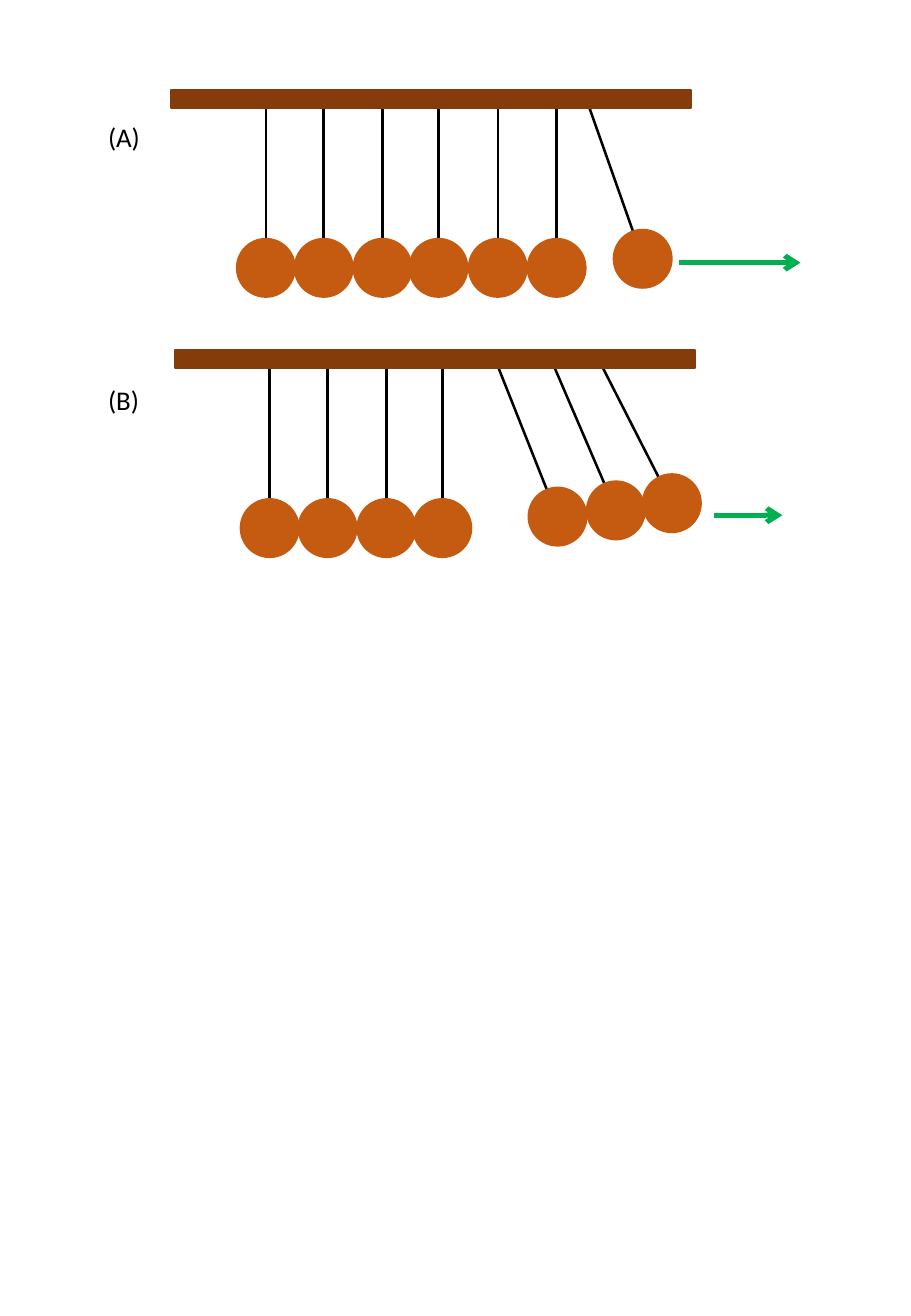
from math import hypot

from lxml.etree import SubElement
from pptx import Presentation
from pptx.dml.color import RGBColor
from pptx.enum.shapes import MSO_CONNECTOR as Connector, MSO_SHAPE as Shape
from pptx.oxml.ns import qn
from pptx.util import Cm, Pt

COLOURS = {"string": "000000", "ball": "C55A11", "beam": "843C0B",
           "arrow": "00B050", "text": "000000"}
FONT = "Calibri"
BEAM_WIDTH, BEAM_HEIGHT = 10.87, 0.38
BALL_SIZE = 1.22
STRING_GAP = 0.51  # from the end of a string to the centre of its ball
STRING_TOP, REST_DEPTH = 0.36, 3.72
REST_OFFSETS = [1.98, 3.19, 4.42, 5.59, 6.83, 8.06]

# Swinging balls: pivot x, pivot y, centre x, centre y from the beam's corner
CRADLES = [
    {"label": "(A)", "label_top": 2.39, "left": 3.58, "top": 1.88, "resting": 6,
     "swinging": [(8.74, 0.36, 9.86, 3.53)], "arrow": (14.2, 16.74, 5.49)},
    {"label": "(B)", "label_top": 7.9, "left": 3.66, "top": 7.32, "resting": 4,
     "swinging": [(6.76, 0.36, 8, 3.48), (7.9, 0.28, 9.22, 3.35),
                  (8.86, 0.2, 10.39, 3.2)],
     "arrow": (14.94, 16.36, 10.77)},
]


def colour(name):
    return RGBColor.from_string(COLOURS[name])


class CradlePage:
    def __init__(self, slide):
        self.shapes = slide.shapes

    def solid(self, shapes, kind, name, left, top, width, height):
        shape = shapes.add_shape(kind, Cm(left), Cm(top), Cm(width), Cm(height))
        shape.shadow.inherit = False
        shape.fill.solid()
        shape.fill.fore_color.rgb = colour(name)
        shape.line.color.rgb = colour(name)
        shape.line.width = Pt(1)

    def line(self, shapes, name, start, end, weight):
        line = shapes.add_connector(Connector.STRAIGHT, Cm(start[0]), Cm(start[1]),
                                    Cm(end[0]), Cm(end[1]))
        line.line.color.rgb = colour(name)
        line.line.width = Pt(weight)
        SubElement(line._element.spPr, qn("a:effectLst"))
        return line

    def arrow(self, left, right, height):
        arrow = self.line(self.shapes, "arrow", (left, height), (right, height), 3)
        SubElement(arrow.line._get_or_add_ln(), qn("a:tailEnd"), type="arrow")

    def pendulum(self, pivot_x, pivot_y, centre_x, centre_y):
        """Group a ball with the string that points at its centre."""
        group = self.shapes.add_group_shape()
        run_x, run_y = pivot_x - centre_x, pivot_y - centre_y
        share = STRING_GAP / hypot(run_x, run_y)
        end = centre_x + run_x * share, centre_y + run_y * share
        self.line(group.shapes, "string", end, (pivot_x, pivot_y), 1.5)
        self.solid(group.shapes, Shape.OVAL, "ball", centre_x - BALL_SIZE / 2,
                   centre_y - BALL_SIZE / 2, BALL_SIZE, BALL_SIZE)

    def label(self, text, top):
        box = self.shapes.add_textbox(Cm(2.01), Cm(top), Cm(1.19), Cm(0.94))
        box.text_frame.word_wrap = False
        run = box.text_frame.paragraphs[0].add_run()
        run.text = text
        run.font.name = FONT
        run.font.size = Pt(16)
        run.font.color.rgb = colour("text")

    def cradle(self, data):
        left, top = data["left"], data["top"]
        resting = [(x, STRING_TOP, x, REST_DEPTH)
                   for x in REST_OFFSETS[:data["resting"]]]
        for pivot_x, pivot_y, centre_x, centre_y in resting + data["swinging"]:
            self.pendulum(left + pivot_x, top + pivot_y,
                          left + centre_x, top + centre_y)
        self.solid(self.shapes, Shape.RECTANGLE, "beam", left, top,
                   BEAM_WIDTH, BEAM_HEIGHT)
        self.arrow(*data["arrow"])
        self.label(data["label"], data["label_top"])


def main():
    deck = Presentation()
    deck.slide_width, deck.slide_height = Cm(19.05), Cm(27.51)
    page = CradlePage(deck.slides.add_slide(deck.slide_layouts[6]))
    for data in CRADLES:
        page.cradle(data)
    deck.save("out.pptx")


if __name__ == "__main__":
    main()
